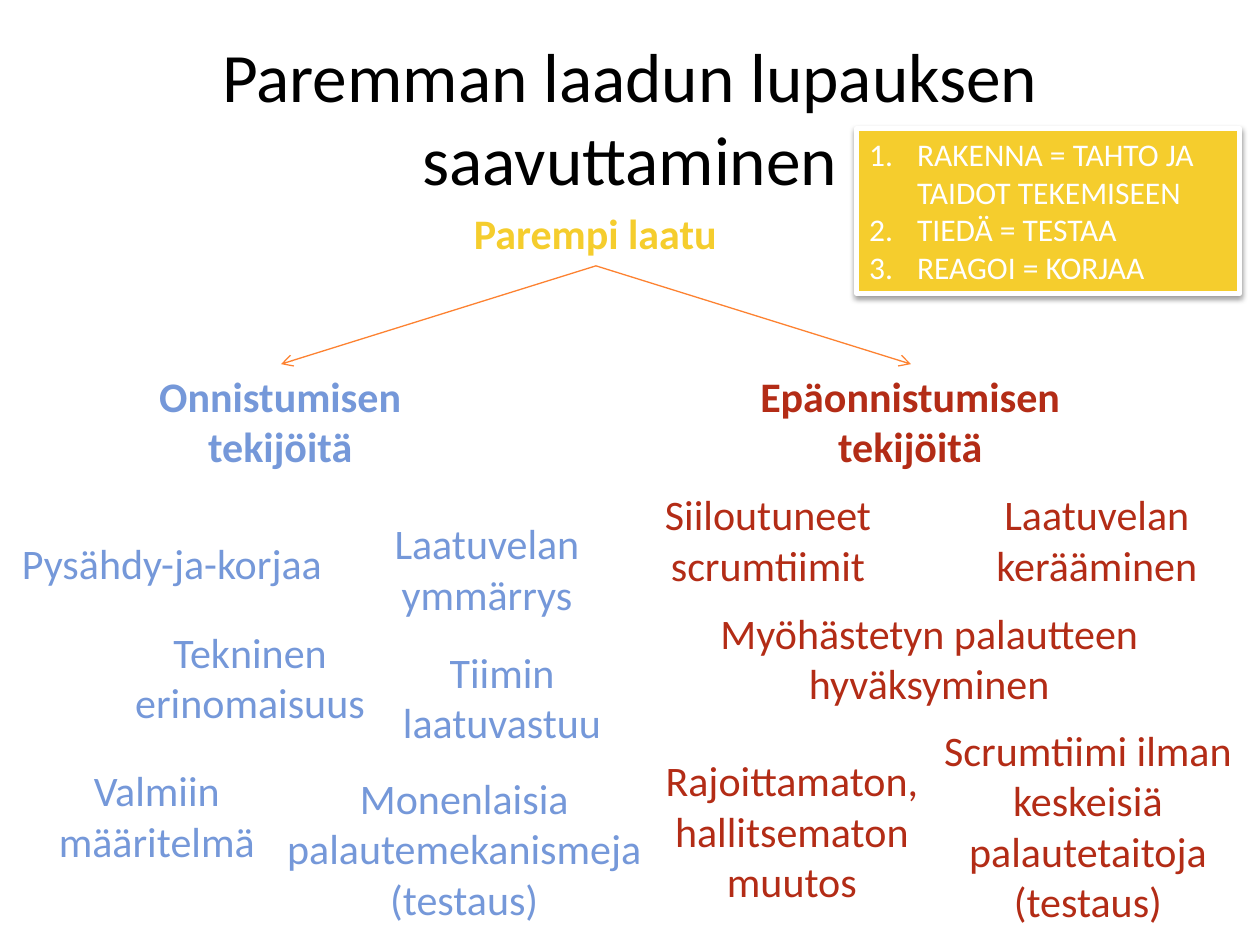
import pptx
import pptx.util
import pptx.dml.color
import pptx.enum.shapes
import pptx.enum.text
import pptx.oxml
import pptx.oxml.ns

Inches = pptx.util.Inches
Pt = pptx.util.Pt
RGBColor = pptx.dml.color.RGBColor
PP_ALIGN = pptx.enum.text.PP_ALIGN
ANCHOR = pptx.enum.text.MSO_ANCHOR
qn = pptx.oxml.ns.qn

BLACK = RGBColor(0x00, 0x00, 0x00)
WHITE = RGBColor(0xFF, 0xFF, 0xFF)
YELLOW = RGBColor(0xF5, 0xCD, 0x2D)
BLUE = RGBColor(0x75, 0x98, 0xD9)
RED = RGBColor(0xB3, 0x2C, 0x16)
ORANGE = RGBColor(0xFD, 0x82, 0x31)
NAMESPACE = pptx.oxml.ns.nsdecls("a")


def add_span(para, text, size, color, bold=False):
    span = para.add_run()
    span.text = text
    span.font.name = "Calibri"
    span.font.size = Pt(size)
    span.font.bold = bold
    span.font.color.rgb = color


def add_label(page, text, left, top, width, height, color, bold=False):
    box = page.shapes.add_textbox(Inches(left), Inches(top), Inches(width), Inches(height))
    box.text_frame.word_wrap = True
    para = box.text_frame.paragraphs[0]
    para.alignment = PP_ALIGN.CENTER
    add_span(para, text, 24, color, bold)


deck = pptx.Presentation()
deck.slide_width = Inches(10)
deck.slide_height = Inches(7.5)
page = deck.slides.add_slide(deck.slide_layouts[5])

title = page.shapes.title
title.left, title.top = Inches(0.5), Inches(0.3)
title.width, title.height = Inches(9), Inches(1.25)
title.text_frame.word_wrap = True
title.text_frame.auto_size = pptx.enum.text.MSO_AUTO_SIZE.NONE
title.text_frame.vertical_anchor = ANCHOR.MIDDLE
title_para = title.text_frame.paragraphs[0]
title_para.alignment = PP_ALIGN.CENTER
add_span(title_para, "Paremman laadun lupauksen saavuttaminen", 39.6, BLACK)

headings = [
    ("Parempi laatu", 3.36, 1.6, 2.73, 0.5, YELLOW),
    ("Onnistumisen tekijöitä", 0.86, 2.89, 2.73, 0.91, BLUE),
    ("Epäonnistumisen tekijöitä", 5.86, 2.89, 2.73, 0.91, RED),
]
for heading in headings:
    add_label(page, *heading, bold=True)

success_factors = [
    ("Pysähdy-ja-korjaa", 0, 4.22, 2.73, 0.5),
    ("Laatuvelan ymmärrys", 2.5, 4.06, 2.73, 0.91),
    ("Tekninen erinomaisuus", 0.62, 4.92, 2.73, 0.91),
    ("Tiimin laatuvastuu", 2.97, 5.08, 2.03, 0.91),
    ("Valmiin määritelmä", 0.23, 6.02, 2.03, 0.91),
    ("Monenlaisia palautemekanismeja (testaus)", 2.12, 6.08, 3.13, 1.31),
]
failure_factors = [
    ("Siiloutuneet scrumtiimit", 5, 3.83, 2.19, 0.91),
    ("Laatuvelan kerääminen", 7.34, 3.83, 2.73, 0.91),
    ("Myöhästetyn palautteen hyväksyminen", 5.42, 4.77, 3.91, 0.91),
    ("Rajoittamaton, hallitsematon muutos", 4.92, 5.94, 2.73, 1.31),
    ("Scrumtiimi ilman keskeisiä palautetaitoja (testaus)", 7.27, 5.7, 2.73, 1.72),
]
for factors, color in ((success_factors, BLUE), (failure_factors, RED)):
    for factor in factors:
        add_label(page, *factor, color)

for end_left in (2.23, 7.23):
    arrow = page.shapes.add_connector(
        pptx.enum.shapes.MSO_CONNECTOR.STRAIGHT,
        Inches(4.73), Inches(2.11), Inches(end_left), Inches(2.89),
    )
    arrow.line.color.rgb = ORANGE
    arrow.line.width = Pt(0.75)
    arrow.line._get_or_add_ln().append(
        pptx.oxml.parse_xml(f'<a:tailEnd {NAMESPACE} type="arrow"/>')
    )
    arrow._element.spPr.append(pptx.oxml.parse_xml(f"<a:effectLst {NAMESPACE}/>"))

steps_box = page.shapes.add_shape(
    pptx.enum.shapes.MSO_SHAPE.RECTANGLE,
    Inches(6.8), Inches(1.02), Inches(3.04), Inches(1.31),
)
steps_box.fill.solid()
steps_box.fill.fore_color.rgb = YELLOW
steps_box.line.color.rgb = WHITE
steps_box.line.width = Pt(3)
steps_box.shadow.inherit = False
steps_box._element.spPr.find(qn("a:effectLst")).append(pptx.oxml.parse_xml(
    f'<a:outerShdw {NAMESPACE} blurRad="{Pt(3.1)}" dist="{Pt(1.6)}" dir="5400000" rotWithShape="0">'
    '<a:srgbClr val="000000"><a:alpha val="38000"/></a:srgbClr></a:outerShdw>'
))
steps_frame = steps_box.text_frame
steps_frame.word_wrap = True
steps_frame.vertical_anchor = ANCHOR.TOP
steps = ["RAKENNA = TAHTO JA TAIDOT TEKEMISEEN", "TIEDÄ = TESTAA", "REAGOI = KORJAA"]
for index, step in enumerate(steps):
    para = steps_frame.add_paragraph() if index else steps_frame.paragraphs[0]
    para.alignment = PP_ALIGN.LEFT
    properties = para._p.get_or_add_pPr()
    properties.set("marL", str(Inches(0.38)))
    properties.set("indent", str(-Inches(0.38)))
    properties.append(pptx.oxml.parse_xml(f'<a:buAutoNum {NAMESPACE} type="arabicPeriod"/>'))
    add_span(para, step, 18, WHITE)

deck.save("out.pptx")
